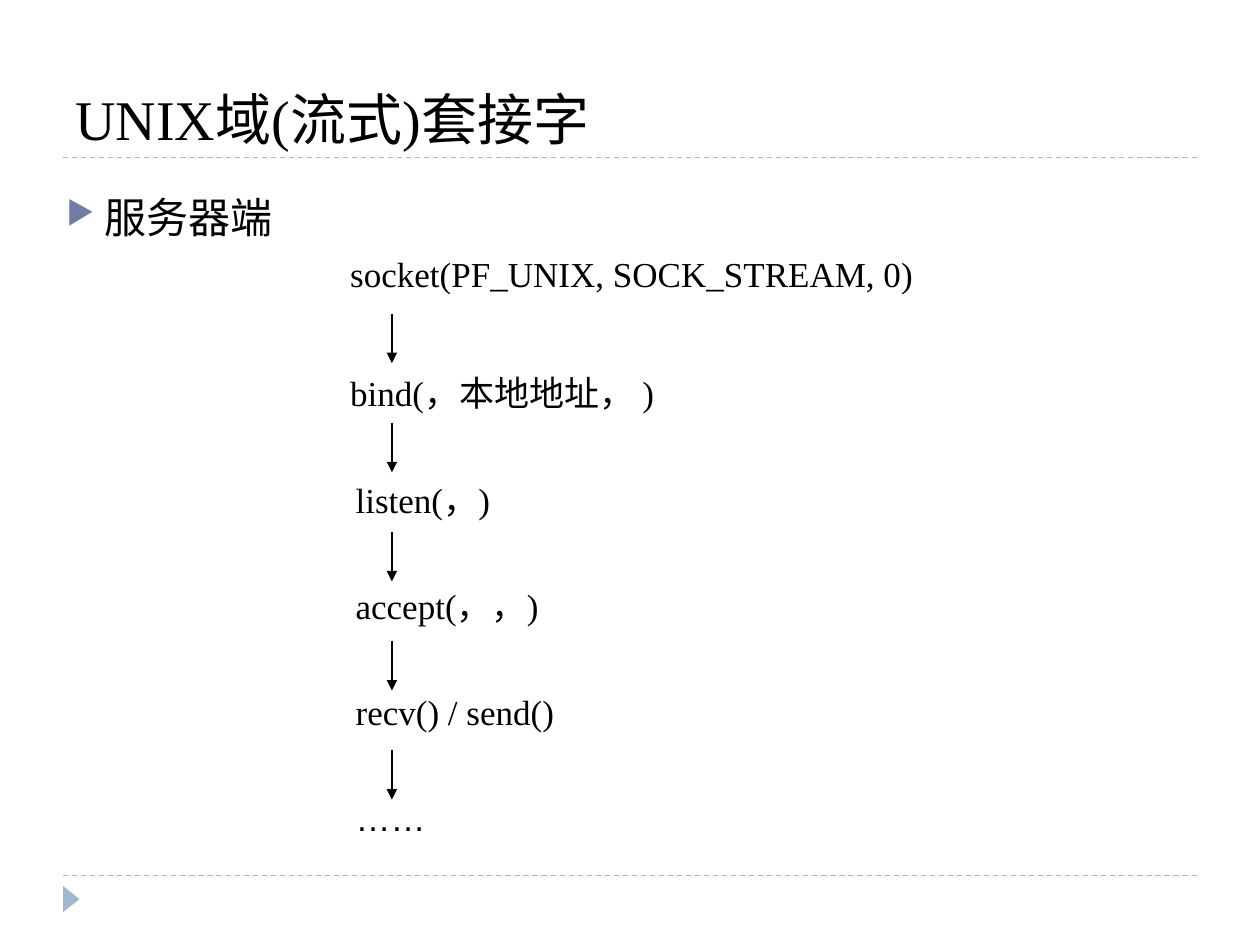
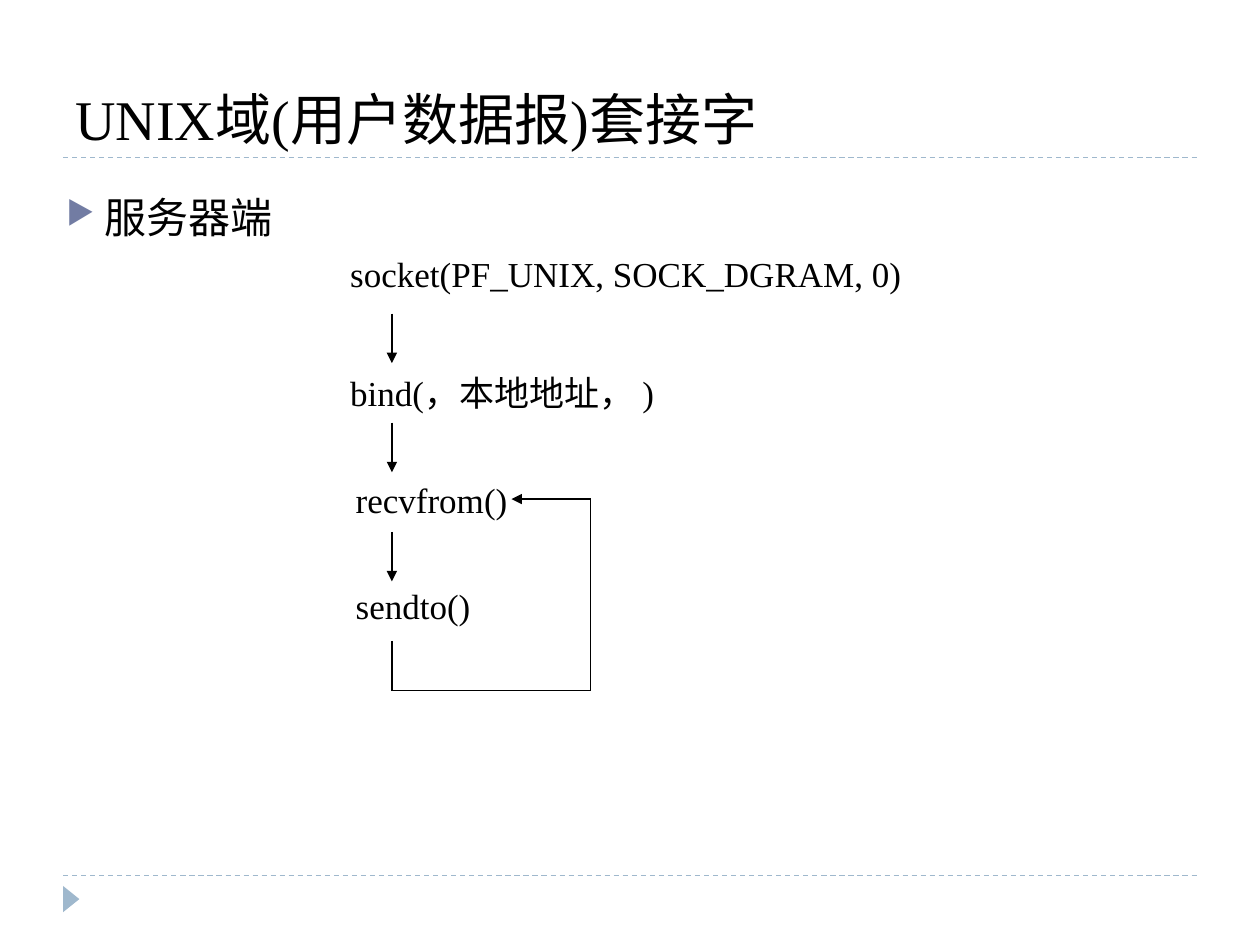
import pptx
import pptx.dml.color
import pptx.enum.dml
import pptx.enum.shapes
import pptx.enum.text
import pptx.oxml.ns
import pptx.util
from lxml import etree

Cm = pptx.util.Cm
Pt = pptx.util.Pt
qn = pptx.oxml.ns.qn

INK = "000000"
BAND = "9FB8CD"
MARK = "727CA3"
FACE = "Times New Roman"
MID = pptx.enum.text.MSO_ANCHOR.MIDDLE
TOP = pptx.enum.text.MSO_ANCHOR.TOP
LOW = pptx.enum.text.MSO_ANCHOR.BOTTOM

STEM = 7.9
RISE = 6.32
GAP = 2.2
DROP = 1.0
FAR = 11.91


def color(code):
    return pptx.dml.color.RGBColor.from_string(code)


def apply(target, values):
    for name, value in values.items():
        setattr(target, name, value)


def add_tag(parent, name, **values):
    return etree.SubElement(parent, qn(name), values)


def add_text(slide, text, place, size, anchor, inset=(0, 0), face=FACE, mark=None):
    box = slide.shapes.add_textbox(*map(Cm, place))
    side, edge = map(Cm, inset)
    frame = box.text_frame
    apply(frame, {
        "word_wrap": True, "vertical_anchor": anchor,
        "margin_left": side, "margin_right": side,
        "margin_top": edge, "margin_bottom": edge,
    })
    para = frame.paragraphs[0]
    if mark:
        add_mark(para, mark)
    run = para.add_run()
    run.text = text
    apply(run.font, {"name": face, "size": Pt(size)})
    run.font.color.rgb = color(INK)
    return box


def add_mark(para, mark):
    props = para._p.get_or_add_pPr()
    apply_pos = {"marL": Cm(0.76), "indent": -Cm(0.76)}
    for name, value in apply_pos.items():
        props.set(name, str(int(value)))
    add_tag(add_tag(props, "a:buClr"), "a:srgbClr", val=MARK)
    add_tag(props, "a:buSzPct", val="76000")
    add_tag(props, "a:buChar", char=mark)
    para.line_spacing = 1.2


def add_line(slide, start, end, code=INK, dash=None, head=False):
    kind = pptx.enum.shapes.MSO_CONNECTOR.STRAIGHT
    line = slide.shapes.add_connector(kind, *map(Cm, start + end))
    line.line.color.rgb = color(code)
    apply(line.line, {"width": Pt(0.75), "dash_style": dash})
    props = line.element.spPr
    if head:
        add_tag(props.find(qn("a:ln")), "a:tailEnd", type="triangle")
    add_tag(props, "a:effectLst")
    return line


def add_frame(slide, title):
    dash = pptx.enum.dml.MSO_LINE.DASH
    for y in (17.65, 3.18):
        add_line(slide, (1.27, y), (24.13, y), BAND, dash)
    kind = pptx.enum.shapes.MSO_SHAPE.ISOSCELES_TRIANGLE
    flag = slide.shapes.add_shape(kind, Cm(1.17), Cm(17.96), Cm(0.53), Cm(0.33))
    flag.rotation = 90
    flag.shadow.inherit = False
    flag.fill.solid()
    flag.fill.fore_color.rgb = color(BAND)
    flag.line.fill.background()
    inset = (0.25, 0.13)
    add_text(slide, title, (1.27, 0.43, 22.86, 2.75), 32, LOW, inset)
    add_text(slide, "服务器端", (1.09, 3.53, 22.86, 1.6), 24, TOP, inset, mark="▶")


def add_step(slide, row, text, width=15, face=FACE):
    left = 7.06 if row < 2 else 7.17
    mid = 7.92 + 2.14 * (row - 1) if row else 5.51
    return add_text(slide, text, (left, mid - 0.5, width, 1), 20, MID, face=face)


def add_drops(slide, count):
    for row in range(count):
        y = RISE + GAP * row
        add_line(slide, (STEM, y), (STEM, y + DROP), head=True)


def add_loop(slide, goal):
    y = RISE + GAP * 3
    base = y + DROP
    mid = (goal.top + goal.height / 2) / Cm(1)
    turns = [(STEM, y), (STEM, base), (FAR, base), (FAR, mid)]
    for start, end in zip(turns, turns[1:]):
        add_line(slide, start, end)
    back = add_line(slide, turns[-1], (10.31, mid), head=True)
    back.end_connect(goal, 3)


def add_stream(slide):
    add_frame(slide, "UNIX域(流式)套接字")
    calls = ["socket(PF_UNIX, SOCK_STREAM, 0)", "bind(，本地地址， )",
             "listen(，)", "accept(，，)", "recv() / send()"]
    for row, text in enumerate(calls):
        add_step(slide, row, text)
    add_step(slide, len(calls), "……", face="Arial")
    add_drops(slide, len(calls))


def add_gram(slide):
    add_frame(slide, "UNIX域(用户数据报)套接字")
    add_step(slide, 0, "socket(PF_UNIX, SOCK_DGRAM, 0)")
    add_step(slide, 1, "bind(，本地地址， )")
    goal = add_step(slide, 2, "recvfrom()", 3.14)
    add_step(slide, 3, "sendto()")
    add_drops(slide, 3)
    add_loop(slide, goal)


def main():
    deck = pptx.Presentation()
    apply(deck, {"slide_width": Cm(25.4), "slide_height": Cm(19.05)})
    for build in (add_stream, add_gram):
        build(deck.slides.add_slide(deck.slide_layouts[6]))
    deck.save("out.pptx")


if __name__ == "__main__":
    main()
